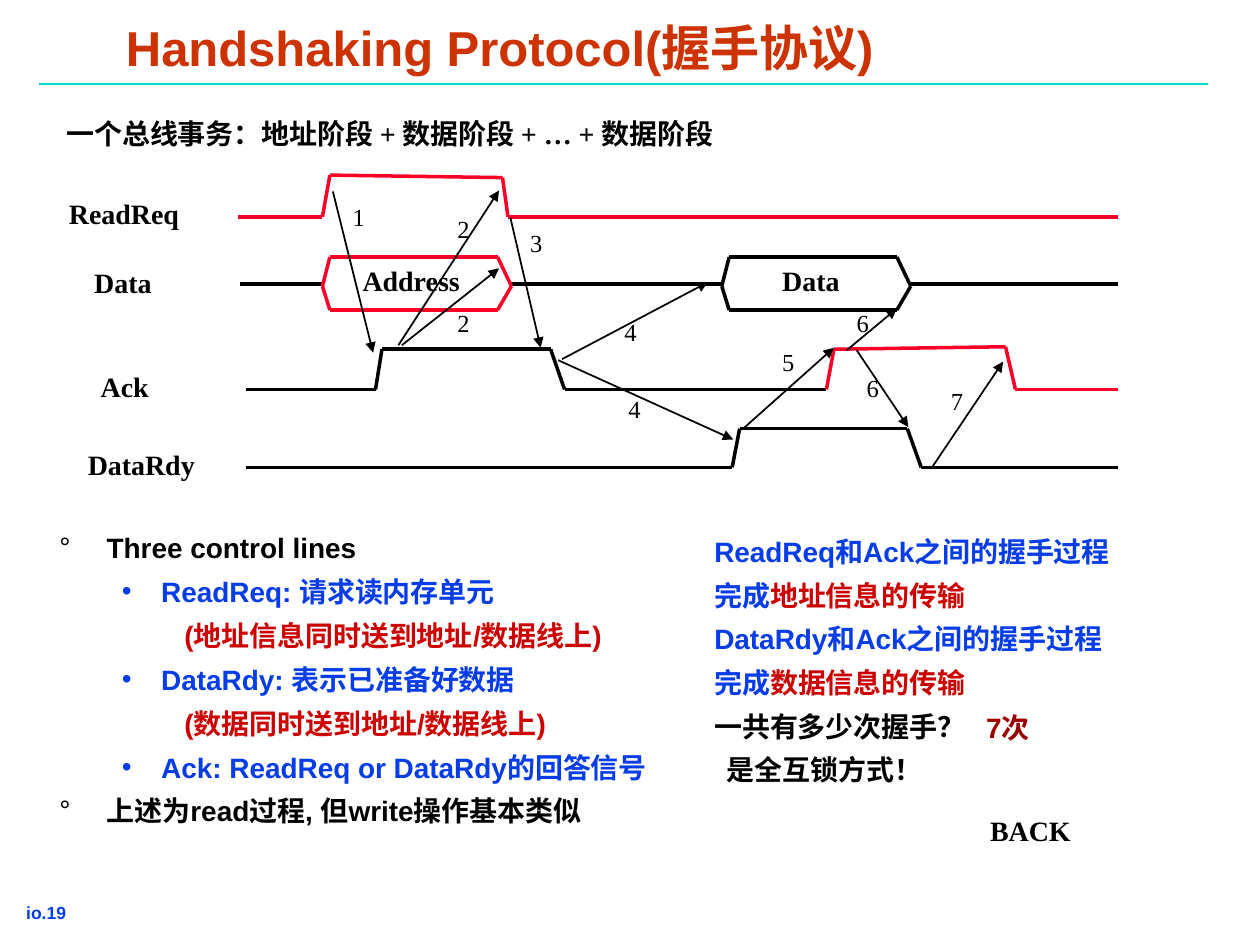
from dataclasses import dataclass
from itertools import pairwise

from lxml import etree
from pptx import Presentation
from pptx.dml.color import RGBColor
from pptx.enum.shapes import MSO_CONNECTOR
from pptx.enum.text import MSO_ANCHOR
from pptx.oxml.ns import qn
from pptx.util import Cm, Pt

STRAIGHT = MSO_CONNECTOR.STRAIGHT
TOP = MSO_ANCHOR.TOP


@dataclass(frozen=True)
class Theme:
    title: str = "CC3300"
    rule: str = "00DFCA"
    black: str = "000000"
    blue: str = "063DE8"
    red: str = "CC0000"
    dark_red: str = "990000"
    signal_red: str = "FC0128"
    sans: str = "Arial"
    serif: str = "Times New Roman"
    title_size: int = 28
    text_size: int = 16
    number_size: int = 14
    footer_size: int = 10
    signal_width: int = 2
    thin_width: int = 1


THEME = Theme()
NARROW = (0.18, 0.08)
NORMAL = (0.25, 0.13)

# Timing diagram, in centimetres
READ_REQUEST = [(4.8, 4.37), (6.5, 4.37), (6.65, 3.53), (10.13, 3.58),
                (10.24, 4.37), (22.53, 4.37)]
ACK_FIRST = [(4.95, 7.85), (7.57, 7.85), (7.7, 7.04), (11.1, 7.04),
             (11.38, 7.85), (16.66, 7.85)]
ACK_SECOND = [(16.66, 7.85), (16.81, 7.04), (20.27, 6.99), (20.47, 7.85),
              (22.53, 7.85)]
DATA_READY = [(4.95, 9.42), (14.76, 9.42), (14.91, 8.64), (18.29, 8.64),
              (18.57, 9.42), (22.53, 9.42)]
DATA_IDLE = [(4.83, 6.5), (10.31, 14.58), (18.36, 22.53)]
DATA_LEVEL = 5.72

ARROWS = [
    ((6.71, 3.86), (7.52, 7.11)), ((8.1, 6.96), (10.06, 5.41)),
    ((8.03, 6.96), (10.06, 3.84)), ((10.29, 4.39), (10.9, 7.01)),
    ((11.33, 7.24), (14.27, 5.69)), ((11.25, 7.26), (14.78, 8.86)),
    ((14.96, 8.66), (16.81, 7.01)), ((17.07, 7.06), (18.08, 6.22)),
    ((17.27, 7.06), (18.31, 8.61)), ((18.77, 9.45), (20.22, 7.29)),
]
STEP_NUMBERS = [
    ("1", 6.86, 3.94), ("2", 8.97, 4.19), ("2", 8.97, 6.07),
    ("3", 10.44, 4.47), ("4", 12.34, 6.27), ("4", 12.42, 7.82),
    ("5", 15.52, 6.86), ("6", 17.02, 6.07), ("6", 17.22, 7.39),
    ("7", 18.92, 7.65),
]
SIGNAL_LABELS = [
    ("ReadReq", 1.14, 3.84, 2.8), ("Data", 1.65, 5.23, 1.8),
    ("Address", 7.06, 5.18, 2.55), ("Data", 15.52, 5.18, 1.8),
    ("Ack", 1.78, 7.32, 1.55), ("DataRdy", 1.52, 8.89, 2.75),
]

# Outline levels: bullet, left margin, hanging indent, colour
LEVELS = [
    ("°", 0.95, -0.95, THEME.black),
    ("•", 2.05, -0.79, THEME.blue),
    (None, 2.52, 0, THEME.red),
]
OUTLINE = [
    (0, "Three control lines"),
    (1, "ReadReq: 请求读内存单元"),
    (2, "(地址信息同时送到地址/数据线上)"),
    (1, "DataRdy: 表示已准备好数据"),
    (2, "(数据同时送到地址/数据线上)"),
    (1, "Ack: ReadReq or DataRdy的回答信号"),
    (0, "上述为read过程, 但write操作基本类似"),
]
HANDSHAKES = [
    [("ReadReq和Ack之间的握手过程", THEME.blue)],
    [("完成", THEME.blue), ("地址信息的传输", THEME.red)],
    [("DataRdy和Ack之间的握手过程", THEME.blue)],
    [("完成", THEME.blue), ("数据信息的传输", THEME.red)],
    [("一共有多少次握手？", THEME.black)],
]


def add_line(slide, start, end, color, width, arrow=False):
    line = slide.shapes.add_connector(
        STRAIGHT, *(Cm(value) for value in (*start, *end)))
    line.line.color.rgb = RGBColor.from_string(color)
    line.line.width = Pt(width)
    if arrow:
        etree.SubElement(line.line._get_or_add_ln(), qn("a:tailEnd"),
                         type="triangle")
    etree.SubElement(line._element.spPr, qn("a:effectLst"))


def add_trace(slide, points, color=THEME.black):
    for start, end in pairwise(points):
        add_line(slide, start, end, color, THEME.signal_width)


def add_bus_value(slide, left, color):
    right, middle, top, bottom = left + 3.81, 5.77, 5.18, 6.25
    inner_left, inner_right = left + 0.15, right - 0.28
    add_trace(slide, [(left, middle), (inner_left, top), (inner_right, top),
                      (right, middle), (inner_right, bottom),
                      (inner_left, bottom), (left, middle)], color)


def add_frame(slide, box, insets=NORMAL, wrap=True):
    shape = slide.shapes.add_textbox(*(Cm(value) for value in box))
    frame = shape.text_frame
    frame.word_wrap = wrap
    frame.vertical_anchor = TOP
    frame.margin_left = frame.margin_right = Cm(insets[0])
    frame.margin_top = frame.margin_bottom = Cm(insets[1])
    return frame


def write(paragraph, text, *, size=THEME.text_size, font=THEME.serif,
          color=THEME.black, bold=True):
    run = paragraph.add_run()
    run.text = text
    run.font.size = Pt(size)
    run.font.name = font
    run.font.bold = bold
    run.font.color.rgb = RGBColor.from_string(color)


def add_label(slide, box, text, insets=NORMAL, wrap=True, spacing=None,
              **text_format):
    paragraph = add_frame(slide, box, insets, wrap).paragraphs[0]
    paragraph.line_spacing = spacing
    write(paragraph, text, **text_format)


def next_paragraph(frame, index):
    paragraph = frame.add_paragraph() if index else frame.paragraphs[0]
    paragraph.line_spacing = 1.15
    paragraph.space_before = Pt(3 if index else 0)
    return paragraph


def set_bullet(paragraph, character, margin, indent, color):
    properties = paragraph._p.get_or_add_pPr()
    properties.set("marL", str(Cm(margin)))
    properties.set("indent", str(Cm(indent)))
    if character:
        bullet_color = etree.SubElement(properties, qn("a:buClr"))
        etree.SubElement(bullet_color, qn("a:srgbClr"), val=color)
        etree.SubElement(properties, qn("a:buFont"), typeface=THEME.sans)
        etree.SubElement(properties, qn("a:buChar"), char=character)


def add_outline(slide, box):
    frame = add_frame(slide, box, NARROW)
    for index, (level, text) in enumerate(OUTLINE):
        paragraph = next_paragraph(frame, index)
        set_bullet(paragraph, *LEVELS[level])
        write(paragraph, text, font=THEME.sans, color=LEVELS[level][-1])


def add_handshakes(slide, box):
    frame = add_frame(slide, box, NARROW)
    for index, parts in enumerate(HANDSHAKES):
        paragraph = next_paragraph(frame, index)
        for text, color in parts:
            write(paragraph, text, font=THEME.sans, color=color)


def add_timing_diagram(slide):
    add_trace(slide, READ_REQUEST, THEME.signal_red)
    for start, end in DATA_IDLE:
        add_trace(slide, [(start, DATA_LEVEL), (end, DATA_LEVEL)])
    add_bus_value(slide, 6.5, THEME.signal_red)
    add_bus_value(slide, 14.55, THEME.black)
    add_trace(slide, ACK_FIRST)
    add_trace(slide, ACK_SECOND, THEME.signal_red)
    add_trace(slide, DATA_READY)
    for text, left, top, width in SIGNAL_LABELS:
        add_label(slide, (left, top, width, 0.91), text)
    for start, end in ARROWS:
        add_line(slide, start, end, THEME.black, THEME.thin_width, arrow=True)
    for text, left, top in STEP_NUMBERS:
        add_label(slide, (left, top, 0.76, 0.84), text, wrap=False,
                  size=THEME.number_size, bold=False)


def main():
    presentation = Presentation()
    presentation.slide_width, presentation.slide_height = Cm(25.4), Cm(19.05)
    slide = presentation.slides.add_slide(presentation.slide_layouts[6])

    # Footer, rule and title
    add_label(slide, (0.35, 18.11, 2.57, 0.56), "io.19", NARROW, wrap=False,
              size=THEME.footer_size, font=THEME.sans, color=THEME.blue)
    add_line(slide, (0.79, 1.7), (24.36, 1.7), THEME.rule, THEME.thin_width)
    add_label(slide, (2.36, 0.43, 17.65, 1.17), "Handshaking Protocol(握手协议)",
              NARROW, spacing=0.87, size=THEME.title_size, font=THEME.sans,
              color=THEME.title)

    # Diagram and explanations
    add_outline(slide, (1.02, 10.52, 13.34, 6.22))
    add_timing_diagram(slide)
    add_label(slide, (19.71, 16.28, 4.45, 0.94), "BACK")
    add_handshakes(slide, (14.22, 10.59, 10.21, 4.45))
    add_label(slide, (1.09, 2.21, 13.87, 1.63),
              "一个总线事务：地址阶段 + 数据阶段 + … + 数据阶段")
    add_label(slide, (19.63, 14.2, 2.67, 0.94), "7次", font=THEME.sans,
              color=THEME.dark_red)
    add_label(slide, (14.4, 15.04, 7.06, 0.94), "是全互锁方式！")

    presentation.save("out.pptx")


if __name__ == "__main__":
    main()
